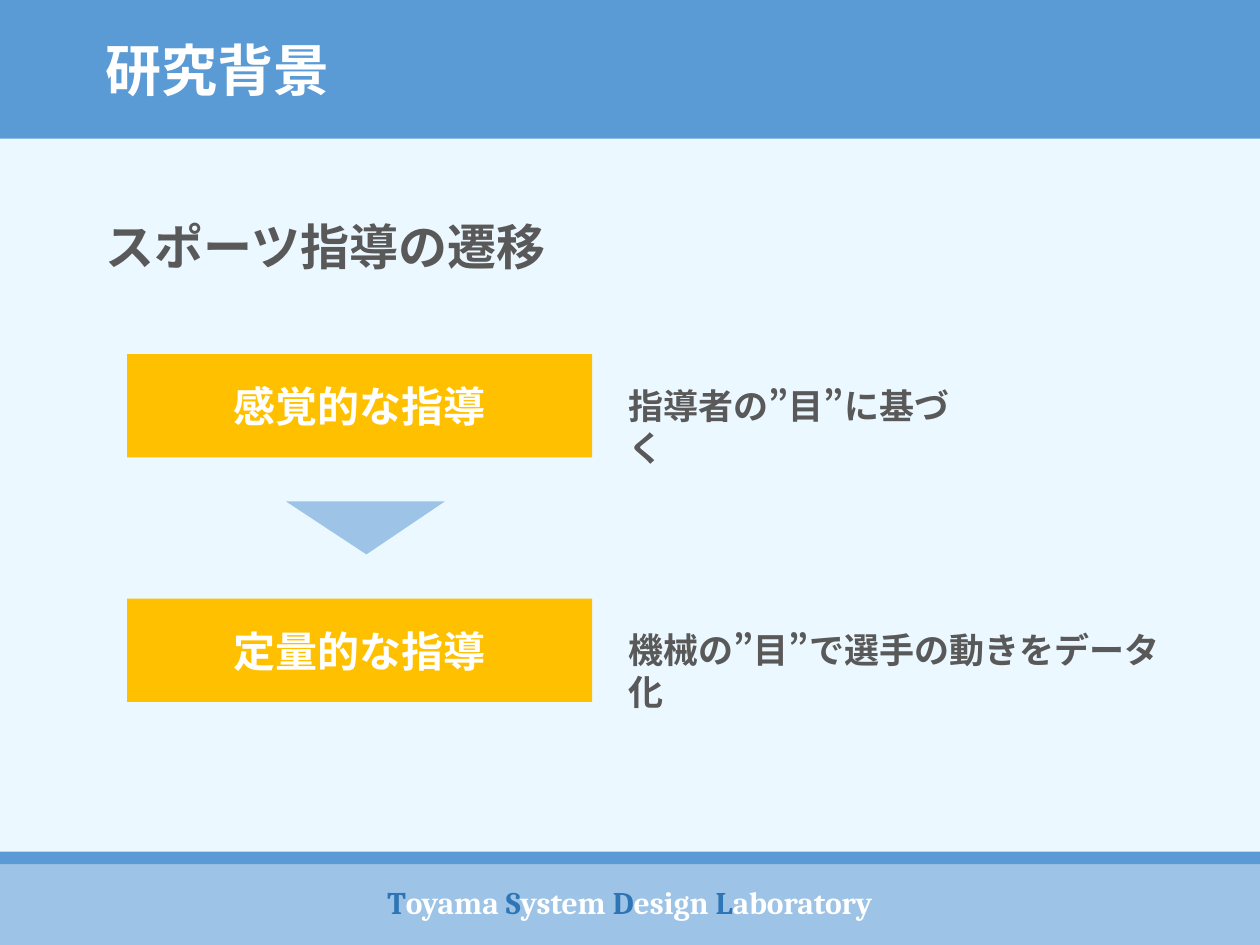
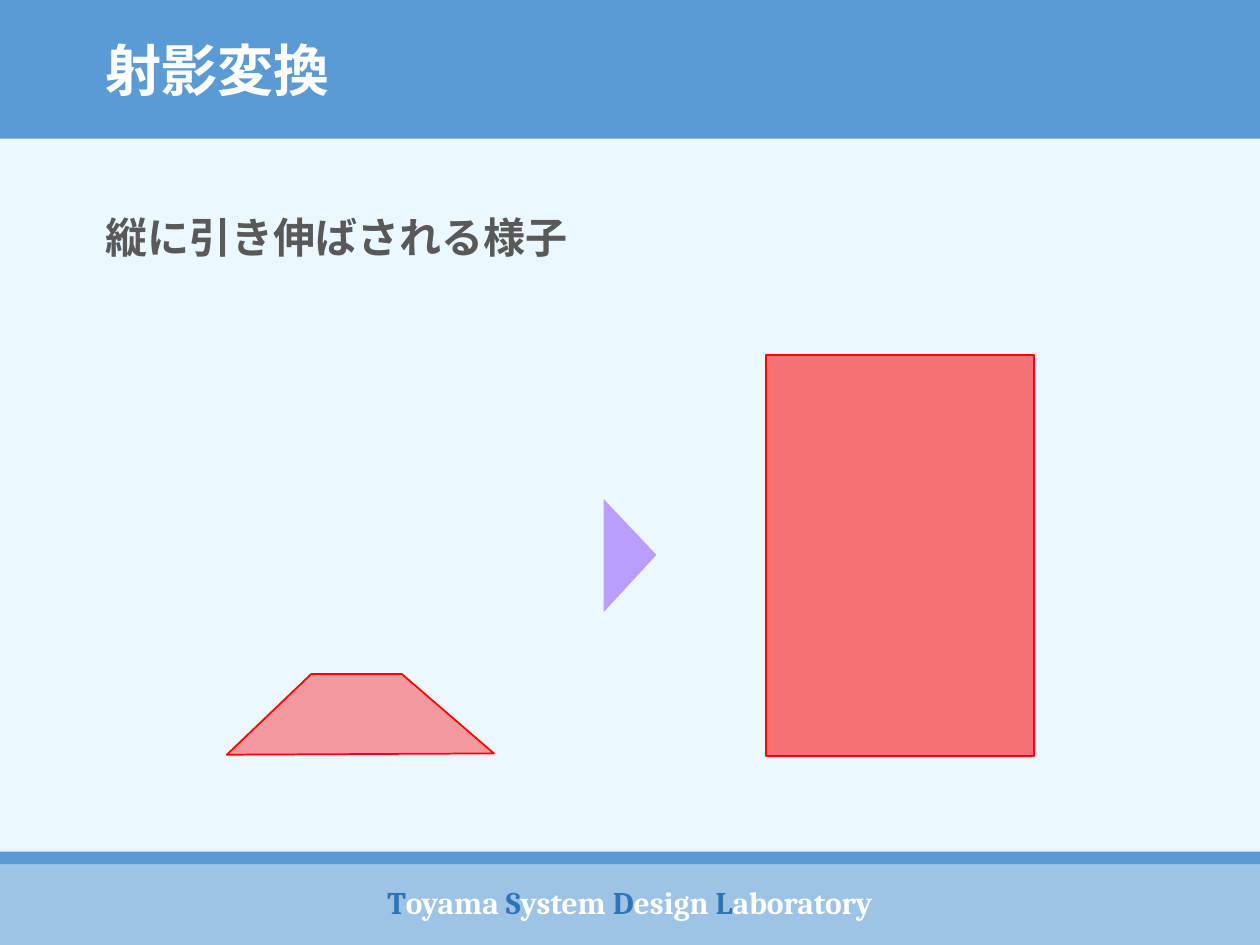
from lxml import etree
from pptx import Presentation
from pptx.dml.color import RGBColor
from pptx.enum import lang, shapes, text
from pptx.oxml import ns
from pptx.util import Inches, Pt

PALE = RGBColor(0xEC, 0xF8, 0xFF)
BLUE = RGBColor(0x5B, 0x9B, 0xD5)
LIGHT_BLUE = RGBColor(0x9D, 0xC3, 0xE6)
DARK_BLUE = RGBColor(0x2E, 0x75, 0xB6)
AMBER = RGBColor(0xFF, 0xC0, 0x00)
PURPLE = RGBColor(0xBA, 0x9E, 0xFF)
RED = RGBColor(0xFF, 0x00, 0x00)
GRAY = RGBColor(0x59, 0x59, 0x59)
WHITE = RGBColor(0xFF, 0xFF, 0xFF)

RECT = shapes.MSO_SHAPE.RECTANGLE
TRIANGLE = shapes.MSO_SHAPE.ISOSCELES_TRIANGLE
LAB_NAME = "Toyama System Design Laboratory"
MARGIN = 0.74


def write(frame, runs, size, color=GRAY, font="Calibri", centered=False):
    """Fill a frame with bold text; runs is a string or (string, colour) pairs."""
    frame.word_wrap = True
    frame.auto_size = text.MSO_AUTO_SIZE.NONE
    frame.vertical_anchor = text.MSO_ANCHOR.MIDDLE if centered else text.MSO_ANCHOR.TOP
    paragraph = frame.paragraphs[0]
    paragraph.alignment = text.PP_ALIGN.CENTER if centered else text.PP_ALIGN.LEFT
    if isinstance(runs, str):
        runs = [(runs, color)]
    for words, run_color in runs:
        run = paragraph.add_run()
        run.text = words
        run.font.name = font
        run.font.size = Pt(size)
        run.font.bold = True
        run.font.color.rgb = run_color
        run.font.language_id = lang.MSO_LANGUAGE_ID.JAPANESE


def add_text(slide, box, words, size):
    write(slide.shapes.add_textbox(*map(Inches, box)).text_frame, words, size)


def paint(shape, fill, outline=None, opacity=None):
    shape.shadow.inherit = False
    shape.fill.solid()
    shape.fill.fore_color.rgb = fill
    if opacity is not None:
        color = shape.fill._xPr.find(ns.qn("a:solidFill"))[0]
        etree.SubElement(color, ns.qn("a:alpha")).set("val", str(opacity * 1000))
    if outline is None:
        shape.line.fill.background()
    else:
        shape.line.color.rgb = outline
        shape.line.width = Pt(1)


def add_block(slide, box, fill, kind=RECT, **look):
    block = slide.shapes.add_shape(kind, *map(Inches, box))
    paint(block, fill, **look)
    return block


def add_pointer(slide, box, fill, rotation):
    pointer = add_block(slide, box, fill, TRIANGLE)
    pointer.adjustments[0] = 0.494
    pointer.rotation = rotation


def add_header(slide, words):
    add_block(slide, (0, 0, 10, 1.1), BLUE)
    title = slide.shapes.title
    title.left, title.top, title.width, title.height = map(Inches, (MARGIN, 0.23, 2, 0.64))
    write(title.text_frame, words, 32, WHITE)
    slide.shapes._spTree.append(title._element)  # bring the title above its band


def add_footer(slide):
    band = add_block(slide, (0, 6.81, 10, 0.69), LIGHT_BLUE)
    runs = []
    words = LAB_NAME.split()
    for word in words:
        gap = "" if word == words[-1] else " "
        runs += [(word[0], DARK_BLUE), (word[1:] + gap, WHITE)]
    write(band.text_frame, runs, 18, font="Cambria", centered=True)
    add_block(slide, (0, 6.76, 10, 0.1), BLUE)


def add_base(deck, title):
    slide = deck.slides.add_slide(deck.slide_layouts.get_by_name("Title Only"))
    slide.background.fill.solid()
    slide.background.fill.fore_color.rgb = PALE
    add_header(slide, title)
    add_footer(slide)
    return slide


def add_stage(slide, box, name, note, note_width):
    left, top, width, height = box
    write(add_block(slide, box, AMBER).text_frame, name, 24, WHITE, centered=True)
    add_text(slide, (left + width + 0.19, top + 0.19, note_width, 0.44), note, 20)


def add_trapezoid(slide, box):
    left, top, width, height = box
    corners = [(0.67, 0), (0, height), (width, height - 0.01), (1.39, 0)]
    points = [(Inches(left + x), Inches(top + y)) for x, y in corners]
    builder = slide.shapes.build_freeform(*points[0])
    builder.add_line_segments(points[1:], close=True)
    paint(builder.convert_to_shape(), RED, outline=RED, opacity=38)


def background_slide(deck):
    slide = add_base(deck, "研究背景")
    add_text(slide, (MARGIN, 1.67, 3.74, 0.57), "スポーツ指導の遷移", 28)
    stages = [("感覚的な指導", "指導者の”目”に基づく", 2.97),
              ("定量的な指導", "機械の”目”で選手の動きをデータ化", 4.65)]
    for row, stage in enumerate(stages):
        add_stage(slide, (1.01, 2.81 + 1.94 * row, 3.69, 0.82), *stage)
    add_pointer(slide, (2.27, 3.98, 1.26, 0.42), LIGHT_BLUE, 180)


def projection_slide(deck):
    slide = add_base(deck, "射影変換")
    add_text(slide, (MARGIN, 1.63, 3.9, 0.5), "縦に引き伸ばされる様子", 24)
    add_trapezoid(slide, (1.8, 5.35, 2.12, 0.64))
    add_pointer(slide, (4.55, 4.2, 0.9, 0.42), PURPLE, 90)
    add_block(slide, (6.08, 2.82, 2.13, 3.18), RED, outline=RED, opacity=54)


def main():
    deck = Presentation()
    deck.slide_width, deck.slide_height = Inches(10), Inches(7.5)
    background_slide(deck)
    projection_slide(deck)
    deck.save("out.pptx")


if __name__ == "__main__":
    main()
